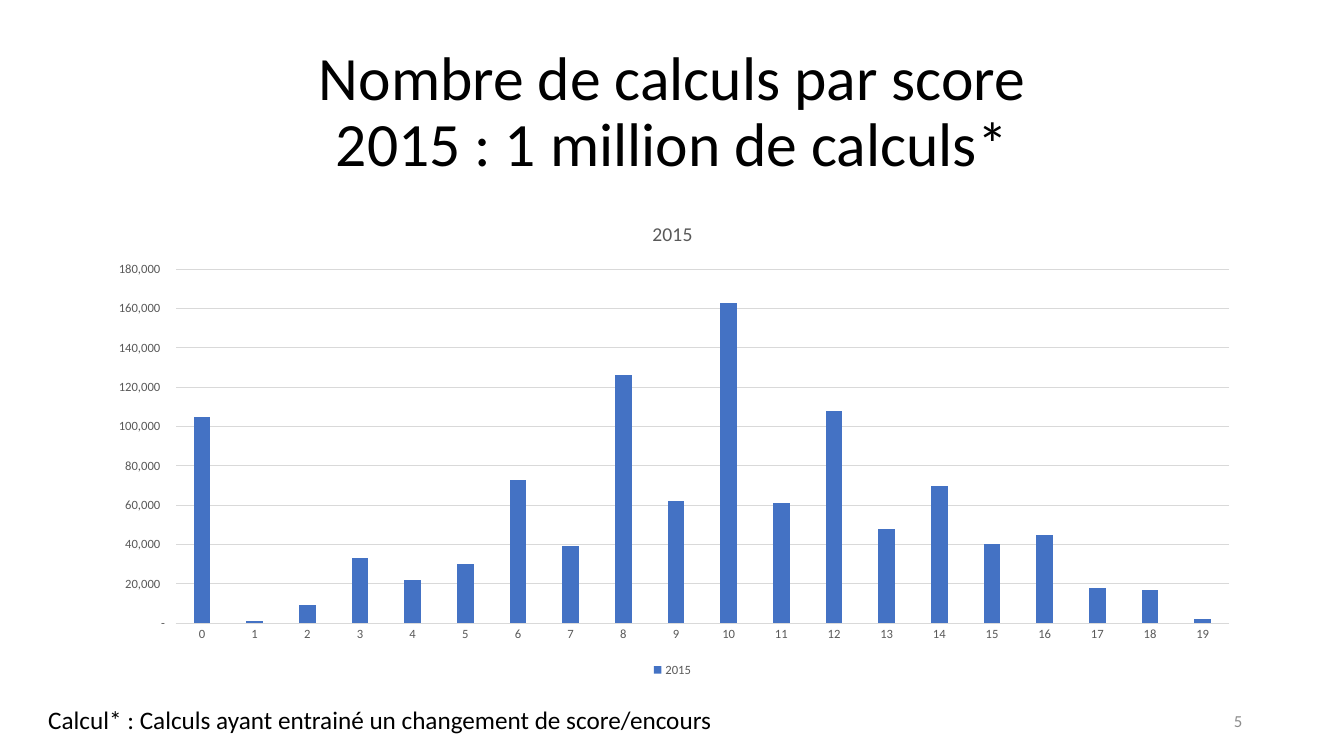
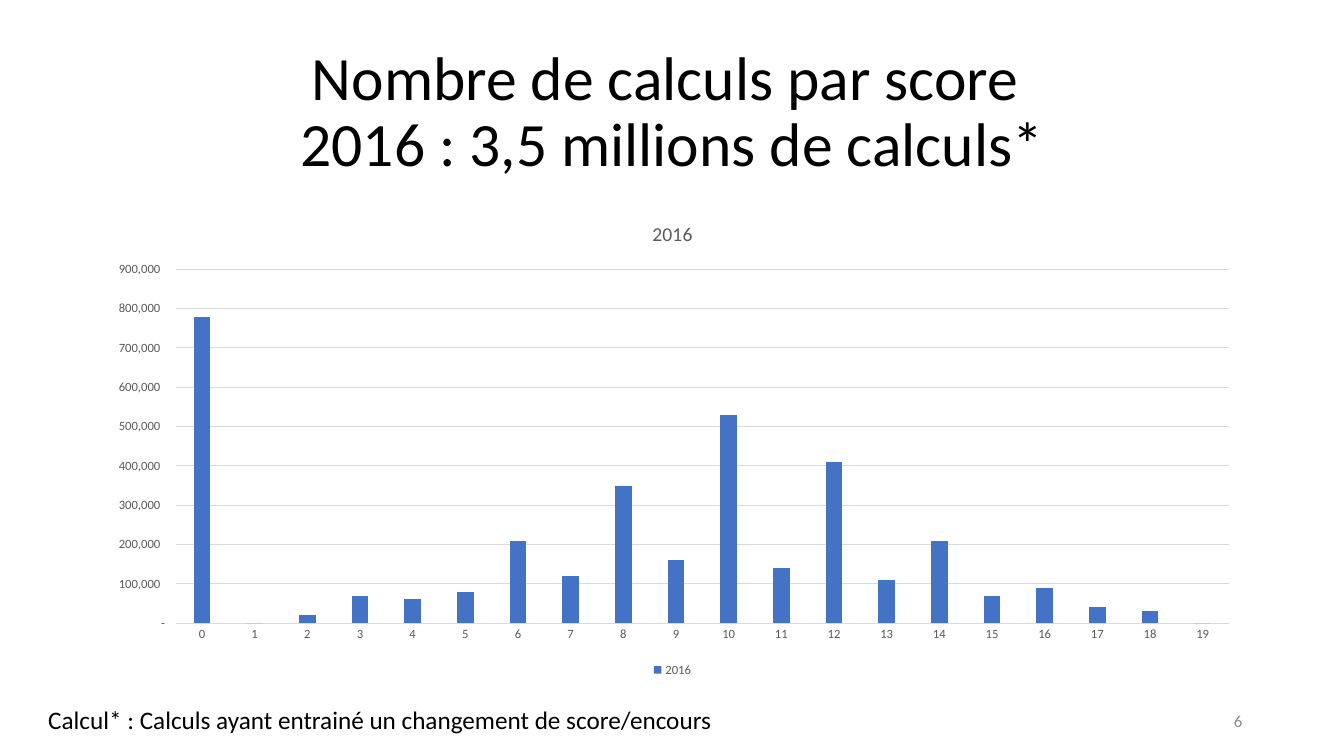
from pptx import Presentation
from pptx.chart.data import CategoryChartData
from pptx.dml.color import RGBColor
from pptx.enum.chart import XL_CHART_TYPE, XL_LEGEND_POSITION, XL_TICK_MARK
from pptx.enum.text import MSO_ANCHOR, PP_ALIGN
from pptx.util import Inches, Pt

COLUMNS = XL_CHART_TYPE.COLUMN_CLUSTERED
BOTTOM = XL_LEGEND_POSITION.BOTTOM
NO_TICK = XL_TICK_MARK.NONE
TOP, MIDDLE = MSO_ANCHOR.TOP, MSO_ANCHOR.MIDDLE
LEFT, CENTER, RIGHT = PP_ALIGN.LEFT, PP_ALIGN.CENTER, PP_ALIGN.RIGHT

FONT = "Calibri"
BLACK = RGBColor(0x00, 0x00, 0x00)
LABEL_GRAY = RGBColor(0x59, 0x59, 0x59)
NUMBER_GRAY = RGBColor(0x8C, 0x8C, 0x8C)
GRID_GRAY = RGBColor(0xD9, 0xD9, 0xD9)
BAR_BLUE = RGBColor(0x44, 0x72, 0xC4)

TITLE_BOX = (0.92, 0.4, 11.5, 1.45)
CHART_BOX = (0.92, 2, 11.5, 4.76)
NOTE_BOX = (0.38, 6.94, 7.65, 0.4)
NUMBER_BOX = (9.42, 6.95, 3, 0.4)

FOOTNOTE = "Calcul* : Calculs ayant entrainé un changement de score/encours"
COUNT_FORMAT = r'_-* #,##0\ _€_-;\-* #,##0\ _€_-;_-* "-"?'
SCORES = [str(score) for score in range(20)]

YEARS = [
    (5, "2015", "Nombre de calculs par score\n2015 : 1 million de calculs*",
     [105000, 1000, 9000, 33000, 22000, 30000, 73000, 39000, 126000, 62000,
      163000, 61000, 108000, 48000, 70000, 40000, 45000, 18000, 17000, 2000]),
    (6, "2016", "Nombre de calculs par score \n2016 : 3,5 millions de calculs*",
     [780000, 0, 20000, 70000, 60000, 80000, 210000, 120000, 350000, 160000,
      530000, 140000, 410000, 110000, 210000, 70000, 90000, 40000, 30000, 0]),
]


def style_font(font, size, color):
    font.name = FONT
    font.size = Pt(size)
    font.bold = False
    font.color.rgb = color


def add_text(slide, box, text, size, color=BLACK, align=LEFT, anchor=TOP,
             line_spacing=1.0):
    frame = slide.shapes.add_textbox(*map(Inches, box)).text_frame
    frame.word_wrap = True
    frame.vertical_anchor = anchor
    paragraph = frame.paragraphs[0]
    paragraph.text = text
    paragraph.alignment = align
    paragraph.line_spacing = line_spacing
    for run in paragraph.runs:
        style_font(run.font, size, color)


def style_line(line):
    line.color.rgb = GRID_GRAY
    line.width = Pt(0.75)


def add_score_chart(slide, box, year, counts):
    data = CategoryChartData()
    data.categories = SCORES
    data.add_series(year, counts)
    chart = slide.shapes.add_chart(COLUMNS, *map(Inches, box), data).chart
    style_font(chart.font, 10, BLACK)

    chart.has_title = True
    heading = chart.chart_title.text_frame
    heading.text = year
    style_font(heading.paragraphs[0].runs[0].font, 14, LABEL_GRAY)
    chart.chart_title.include_in_layout = False

    chart.has_legend = True
    chart.legend.position = BOTTOM
    chart.legend.include_in_layout = False
    style_font(chart.legend.font, 9, LABEL_GRAY)

    score_axis, count_axis = chart.category_axis, chart.value_axis
    for axis in (score_axis, count_axis):
        axis.major_tick_mark = NO_TICK
        axis.minor_tick_mark = NO_TICK
        style_font(axis.tick_labels.font, 9, LABEL_GRAY)
    style_line(score_axis.format.line)
    count_axis.format.line.fill.background()
    style_line(count_axis.major_gridlines.format.line)
    count_axis.tick_labels.number_format = COUNT_FORMAT
    count_axis.tick_labels.number_format_is_linked = False

    bars = chart.plots[0]
    bars.gap_width = 219
    bars.overlap = -27
    bars.vary_by_categories = False
    bars.series[0].format.fill.solid()
    bars.series[0].format.fill.fore_color.rgb = BAR_BLUE


def add_year_slide(deck, number, year, title, counts):
    slide = deck.slides.add_slide(deck.slide_layouts[6])
    add_text(slide, TITLE_BOX, title, 44, align=CENTER, anchor=MIDDLE,
             line_spacing=0.9)
    add_score_chart(slide, CHART_BOX, year, counts)
    add_text(slide, NOTE_BOX, FOOTNOTE, 18)
    add_text(slide, NUMBER_BOX, str(number), 12, color=NUMBER_GRAY,
             align=RIGHT, anchor=MIDDLE)


def main():
    deck = Presentation()
    deck.slide_width = Inches(13.33)
    deck.slide_height = Inches(7.5)
    for year_content in YEARS:
        add_year_slide(deck, *year_content)
    deck.save("out.pptx")


if __name__ == "__main__":
    main()
